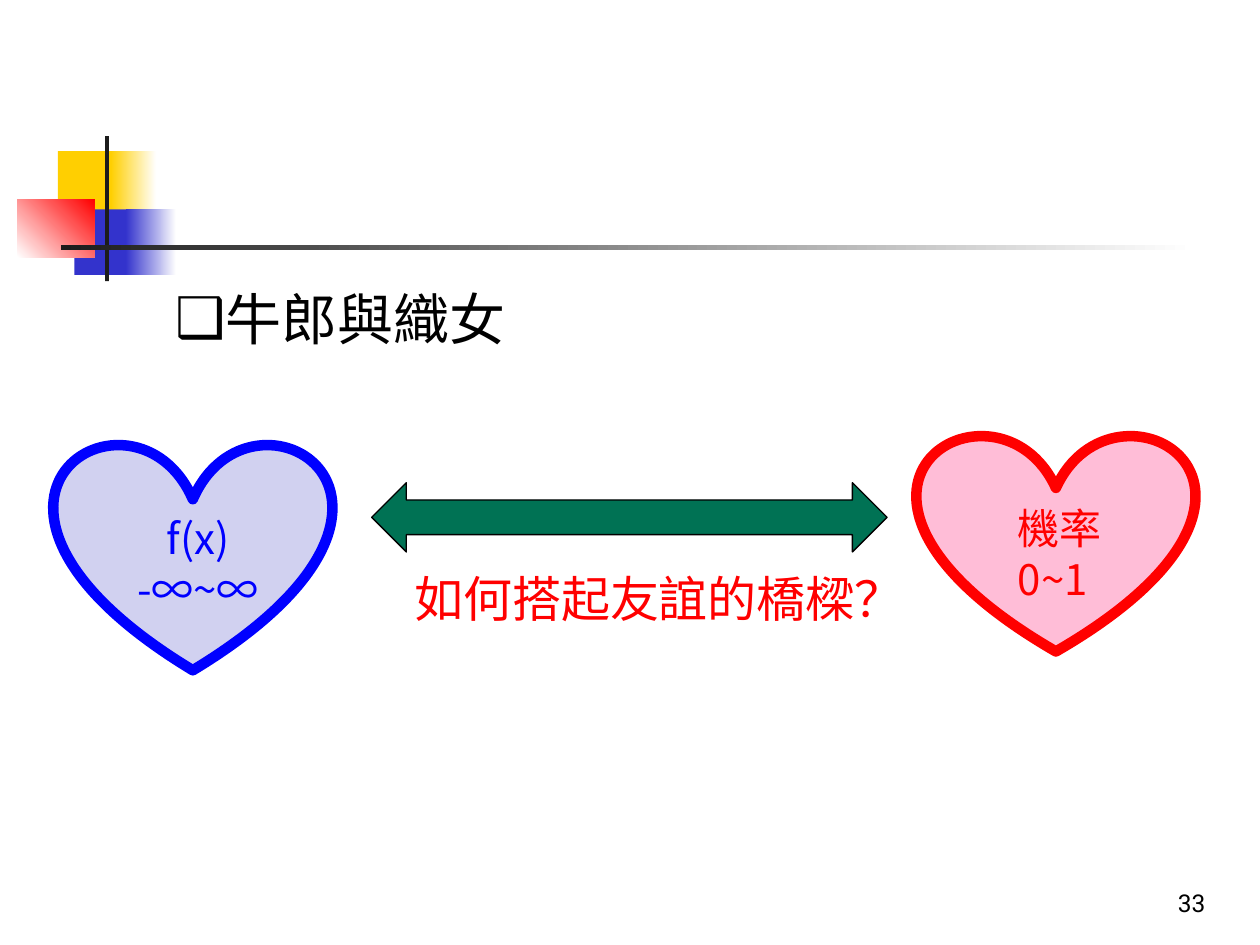
from dataclasses import dataclass
from typing import NamedTuple, Optional

from lxml import etree
from pptx import Presentation
from pptx import util as u
from pptx.dml.color import RGBColor
from pptx.enum import shapes, text
from pptx.oxml import ns

Kind = shapes.MSO_SHAPE


@dataclass(frozen=True)
class Theme:
    font: str = "Noto Sans CJK SC"
    number_font: str = "Roboto"
    black: str = "000000"
    white: str = "FFFFFF"
    ink: str = "1C1C1C"
    yellow: str = "FFCF01"
    navy: str = "3333CC"
    red: str = "FF0000"
    blue: str = "0000FF"
    pink: str = "FFBDD7"
    lavender: str = "D1D1F0"
    green: str = "007254"
    heading_size: float = 32
    question_size: float = 28
    label_size: float = 24
    number_size: float = 14


THEME = Theme()


class Frame(NamedTuple):
    left: float
    top: float
    width: float
    height: float

    def lengths(self) -> list:
        return [u.Pt(value) for value in self]


@dataclass(frozen=True)
class Figure:
    frame: Frame
    fill: str
    fade_to: Optional[str] = None
    angle: float = 0
    kind: Kind = Kind.RECTANGLE
    line: Optional[str] = None
    line_width: float = 0


@dataclass(frozen=True)
class Label:
    frame: Frame
    lines: tuple
    size: float
    color: str
    font: str = THEME.font
    align: text.PP_ALIGN = text.PP_ALIGN.LEFT
    anchor: text.MSO_ANCHOR = text.MSO_ANCHOR.TOP
    wrap: bool = False


ORNAMENT = (
    Figure(Frame(33.1, 86.4, 34.6, 37.4), THEME.yellow),
    Figure(Frame(63.4, 86.4, 25.9, 37.4), THEME.yellow, THEME.white),
    Figure(Frame(42.5, 119.7, 33.1, 37.4), THEME.navy),
    Figure(Frame(72, 119.7, 28.8, 37.4), THEME.navy, THEME.white),
    Figure(Frame(10, 113.8, 44, 33.1), THEME.white, THEME.red, angle=45),
    Figure(Frame(60, 77.8, 2.3, 82.8), THEME.ink),
    Figure(Frame(34.8, 140.2, 648, 2.5), THEME.ink, THEME.white),
)

HEARTS = (
    Figure(Frame(524.2, 247.7, 158.4, 124.6), THEME.pink,
           kind=Kind.HEART, line=THEME.red, line_width=6),
    Figure(Frame(31, 252.7, 158.4, 130.3), THEME.lavender,
           kind=Kind.HEART, line=THEME.blue, line_width=6),
)

BRIDGE = Figure(Frame(212.4, 275.8, 294.5, 39.6), THEME.green,
                kind=Kind.LEFT_RIGHT_ARROW, line=THEME.black, line_width=0.75)

LABELS = (
    Label(Frame(666, 491.8, 41.8, 36), ("33",), THEME.number_size, THEME.black,
          font=THEME.number_font, anchor=text.MSO_ANCHOR.BOTTOM, wrap=True),
    Label(Frame(70.6, 289.4, 85, 65.5), ("f(x)", "-∞~∞"), THEME.label_size,
          THEME.blue, align=text.PP_ALIGN.CENTER),
    Label(Frame(574.6, 283.7, 63.4, 65.5), ("機率", "0~1"), THEME.label_size,
          THEME.red),
    Label(Frame(229.7, 321.1, 297.4, 41), ("如何搭起友誼的橋樑？",),
          THEME.question_size, THEME.red),
)


def rgb(color: str) -> RGBColor:
    return RGBColor.from_string(color)


def draw_figure(page, figure: Figure) -> None:
    shape = page.shapes.add_shape(figure.kind, *figure.frame.lengths())
    shape.shadow.inherit = False
    if figure.fade_to:
        shape.fill.gradient()
        shape.fill.gradient_angle = figure.angle
        for stop, color in zip(shape.fill.gradient_stops,
                               (figure.fill, figure.fade_to)):
            stop.color.rgb = rgb(color)
    else:
        shape.fill.solid()
        shape.fill.fore_color.rgb = rgb(figure.fill)
    if figure.line:
        shape.line.color.rgb = rgb(figure.line)
        shape.line.width = u.Pt(figure.line_width)
    else:
        shape.line.fill.background()


def style_runs(para, font: str, size: float, color: str) -> None:
    for span in para.runs:
        span.font.name = font
        span.font.size = u.Pt(size)
        span.font.color.rgb = rgb(color)
        # East Asian glyphs take their own typeface entry
        latin = span.font._element.find(ns.qn("a:latin"))
        east_asian = etree.Element(ns.qn("a:ea"), typeface=font)
        latin.addnext(east_asian)


def draw_label(page, label: Label) -> None:
    box = page.shapes.add_textbox(*label.frame.lengths())
    frame = box.text_frame
    frame.text = "\n".join(label.lines)
    frame.word_wrap = label.wrap
    frame.vertical_anchor = label.anchor
    if not label.wrap:
        frame.auto_size = text.MSO_AUTO_SIZE.SHAPE_TO_FIT_TEXT
    for para in frame.paragraphs:
        para.alignment = label.align
        style_runs(para, label.font, label.size, label.color)


def fill_heading(body, wording: str) -> None:
    body.left, body.top, body.width, body.height = Frame(
        92.9, 159.1, 612, 54.7).lengths()
    body.text_frame.text = wording
    body.text_frame.auto_size = text.MSO_AUTO_SIZE.NONE
    para = body.text_frame.paragraphs[0]
    para.space_before = u.Pt(0)
    # Square bullet with a hanging indent
    properties = para._p.get_or_add_pPr()
    properties.set("marL", str(u.Pt(27)))
    properties.set("indent", str(u.Pt(-27)))
    bullet_color = etree.SubElement(properties, ns.qn("a:buClr"))
    etree.SubElement(bullet_color, ns.qn("a:srgbClr"), val=THEME.black)
    etree.SubElement(properties, ns.qn("a:buChar"), char="❑")
    style_runs(para, THEME.font, THEME.heading_size, THEME.black)


def main() -> None:
    deck = Presentation()
    deck.slide_width, deck.slide_height = u.Pt(720), u.Pt(540)
    page = deck.slides.add_slide(deck.slide_layouts[1])

    # The slide has no title
    title = page.shapes.title._element
    title.getparent().remove(title)

    # Corner ornament and hearts
    for figure in ORNAMENT + HEARTS:
        draw_figure(page, figure)

    # Heading, bridge and wording
    fill_heading(page.placeholders[1], "牛郎與織女")
    draw_figure(page, BRIDGE)
    for label in LABELS:
        draw_label(page, label)

    deck.save("out.pptx")


if __name__ == "__main__":
    main()
